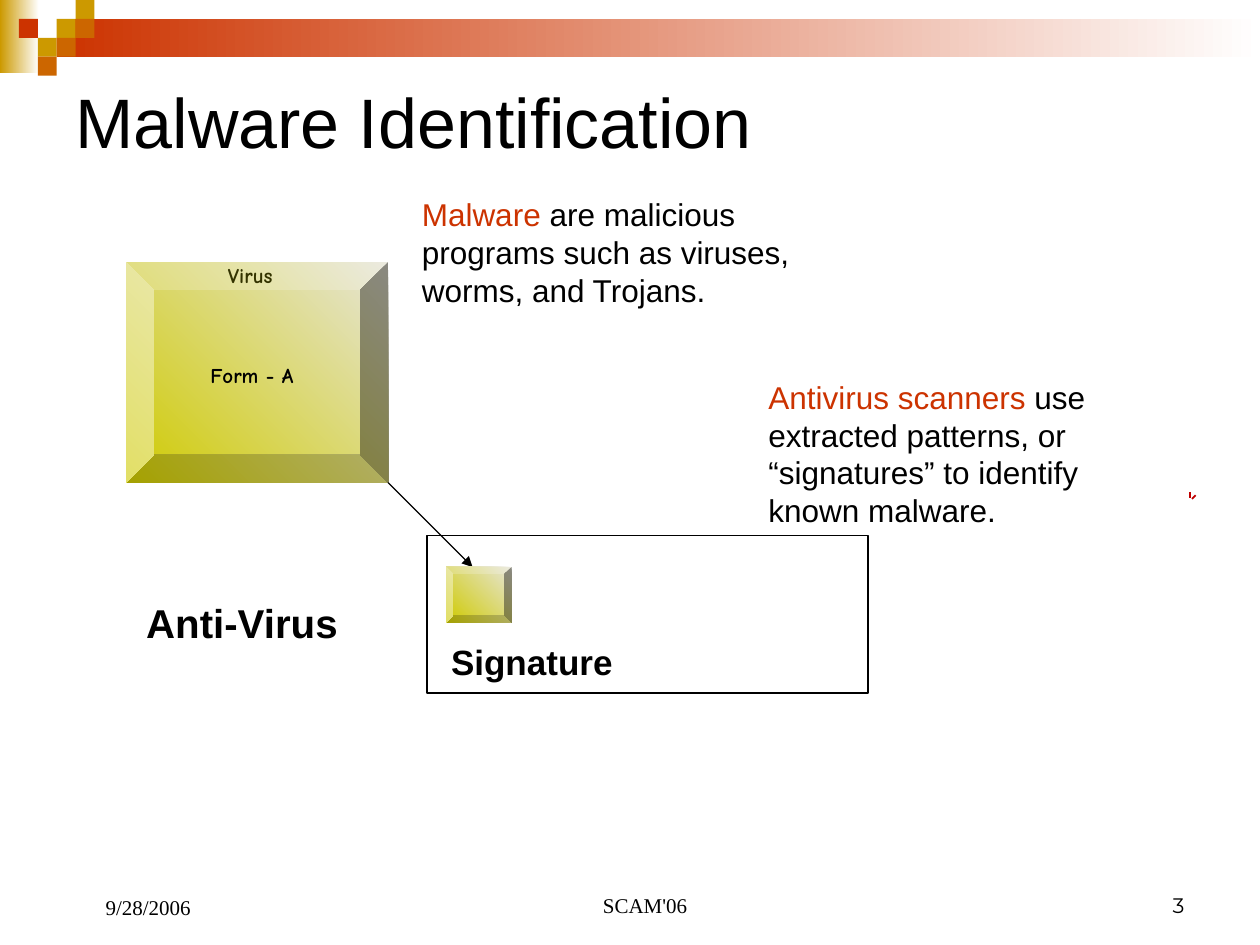
from lxml import etree
from pptx import Presentation
from pptx.dml.color import RGBColor
from pptx.enum.shapes import MSO_CONNECTOR, MSO_SHAPE
from pptx.enum.text import MSO_ANCHOR, PP_ALIGN
from pptx.oxml.ns import qn
from pptx.util import Inches, Pt

RECT, BEVEL = MSO_SHAPE.RECTANGLE, MSO_SHAPE.BEVEL
LINE = MSO_CONNECTOR.STRAIGHT
TOP, MID, BOTTOM = MSO_ANCHOR.TOP, MSO_ANCHOR.MIDDLE, MSO_ANCHOR.BOTTOM
LEFT, CENTER, RIGHT = PP_ALIGN.LEFT, PP_ALIGN.CENTER, PP_ALIGN.RIGHT

COLORS = {
    "white": "FFFFFF", "black": "000000", "gold": "CC9900",
    "orange": "CC6600", "red": "CC3300", "mark": "C00000",
    "olive": "333300", "pale": "E6E5D8", "lime": "CFCA00",
}
SANS, SERIF, COMIC, DIGIT = "Arial", "Times New Roman", "Comic Neue", "Montserrat"


def rgb(name):
    return RGBColor.from_string(COLORS[name])


def add_block(slide, kind, x, y, w, h, fill=None, angle=0, line=None):
    """Add a shape; a pair of colours as fill makes a gradient."""
    shape = slide.shapes.add_shape(kind, Inches(x), Inches(y), Inches(w), Inches(h))
    shape.shadow.inherit = False
    if fill is None:
        shape.fill.background()
    elif isinstance(fill, tuple):
        shape.fill.gradient()
        shape.fill.gradient_angle = angle
        for stop, name in zip(shape.fill.gradient_stops, fill):
            stop.color.rgb = rgb(name)
    else:
        shape.fill.solid()
        shape.fill.fore_color.rgb = rgb(fill)
    if line:
        shape.line.color.rgb = rgb(line)
        shape.line.width = Pt(0.75)
    else:
        shape.line.fill.background()
    return shape


def add_text(slide, x, y, w, h, runs, size, face=SANS, bold=False, align=LEFT,
             anchor=TOP, pad=True, wrap=True, before=0, indent=0):
    """Add one paragraph from (text, colour) runs."""
    box = slide.shapes.add_textbox(Inches(x), Inches(y), Inches(w), Inches(h))
    frame = box.text_frame
    frame.word_wrap = wrap
    frame.vertical_anchor = anchor
    frame.margin_left = frame.margin_right = Inches(0.1 if pad else 0)
    frame.margin_top = frame.margin_bottom = Inches(0.05 if pad else 0)
    para = frame.paragraphs[0]
    para.alignment = align
    para.space_before = Pt(before)
    para.font.size, para.font.name, para.font.bold = Pt(size), face, bold
    if indent:
        props = para._p.get_or_add_pPr()
        props.set("marL", str(Inches(indent)))
        props.set("indent", "0")
    for text, name in runs:
        run = para.add_run()
        run.text = text
        run.font.color.rgb = rgb(name)


def add_banner(slide, x, y):
    step = 0.15
    add_block(slide, RECT, x, y, 0.31, 0.58, ("white", "gold"), 180)
    add_block(slide, RECT, x + 3 * step, y + step, 9.55, 2 * step, ("white", "red"), 180)
    tiles = [(3, 1, "gold"), (4, 0, "gold"), (4, 1, "orange"), (2, 2, "gold"),
             (1, 1, "red"), (3, 2, "orange"), (2, 3, "orange")]
    for col, row, name in tiles:
        add_block(slide, RECT, x + col * step, y + row * step, step, step, name)


def add_bevel(slide, x, y, w, h):
    add_block(slide, BEVEL, x, y, w, h, ("pale", "lime"), 225).adjustments[0] = 0.125


def add_virus(slide, x, y, w, h):
    add_bevel(slide, x, y, w, h)
    add_text(slide, x + 0.81, y, 0.36, 0.2, [("Virus", "olive")], 12, COMIC,
             bold=True, pad=False, wrap=False)
    add_text(slide, x + 0.5, y + 0.75, 1, 0.3, [("Form - A", "black")], 12, COMIC,
             bold=True, align=CENTER, before=7.5)


def add_scanner(slide, x, y, w, h):
    add_block(slide, RECT, x, y, w, h, line="black")
    add_bevel(slide, x + 0.15, y + 0.25, 0.52, 0.44)
    add_text(slide, x + 0.19, y + 0.83, 1.67, 0.33, [("Signature", "black")], 20,
             bold=True, pad=False)


def add_arrow(slide, x1, y1, x2, y2):
    arrow = slide.shapes.add_connector(LINE, Inches(x1), Inches(y1), Inches(x2), Inches(y2))
    arrow.line.color.rgb = rgb("black")
    arrow.line.width = Pt(0.75)
    etree.SubElement(arrow.line._get_or_add_ln(), qn("a:tailEnd"), type="triangle")
    etree.SubElement(arrow._element.spPr, qn("a:effectLst"))


def add_marks(slide, x, y):
    """Add the two tiny pen strokes at the right edge."""
    for dx, dy, rise in [(0, 0, 0), (0.03, 0.01, 0.01)]:
        left, top = Inches(x + dx), Inches(y + dy)
        pen = slide.shapes.build_freeform(left, top)
        pen.add_line_segments([(left + Inches(0.01), top + Inches(rise))], close=False)
        mark = pen.convert_to_shape()
        mark.shadow.inherit = False
        mark.fill.background()
        mark.line.color.rgb = rgb("mark")
        mark.line.width = Pt(3)


def add_footer(slide, y):
    add_text(slide, 3.42, y, 3.16, 0.5, [("SCAM'06", "black")], 12, SERIF,
             align=CENTER, anchor=BOTTOM, indent=0.24)
    add_text(slide, 7.17, y, 2.33, 0.5, [("3", "black")], 12, DIGIT,
             align=RIGHT, anchor=BOTTOM)
    add_text(slide, 0.5, y, 2.33, 0.52, [("9/28/2006", "black")], 12, SERIF,
             anchor=BOTTOM, indent=0.24)


def main():
    deck = Presentation()
    deck.slide_width, deck.slide_height = Inches(10), Inches(7.5)
    slide = deck.slides.add_slide(deck.slide_layouts[6])
    add_banner(slide, 0, 0)
    add_text(slide, 0.5, 0.5, 9, 0.92, [("Malware Identification", "black")], 40, anchor=MID)
    add_virus(slide, 1, 2.08, 2.08, 1.75)
    add_text(slide, 1.16, 4.75, 1.53, 0.38, [("Anti-Virus", "black")], 23,
             bold=True, pad=False, wrap=False)
    add_arrow(slide, 3.08, 3.83, 3.75, 4.5)
    add_marks(slide, 9.44, 3.93)
    add_text(slide, 3.25, 1.5, 3.33, 1, [
        ("Malware", "red"),
        (" are malicious programs such as viruses, worms, and Trojans.", "black"),
    ], 18, before=11.2)
    add_text(slide, 6, 2.95, 3.42, 1.3, [
        ("Antivirus scanners", "red"),
        (" use extracted patterns, or “signatures” to identify known malware.", "black"),
    ], 18, before=11.2)
    add_scanner(slide, 3.39, 4.25, 3.5, 1.25)
    add_footer(slide, 6.83)
    deck.save("out.pptx")


if __name__ == "__main__":
    main()
